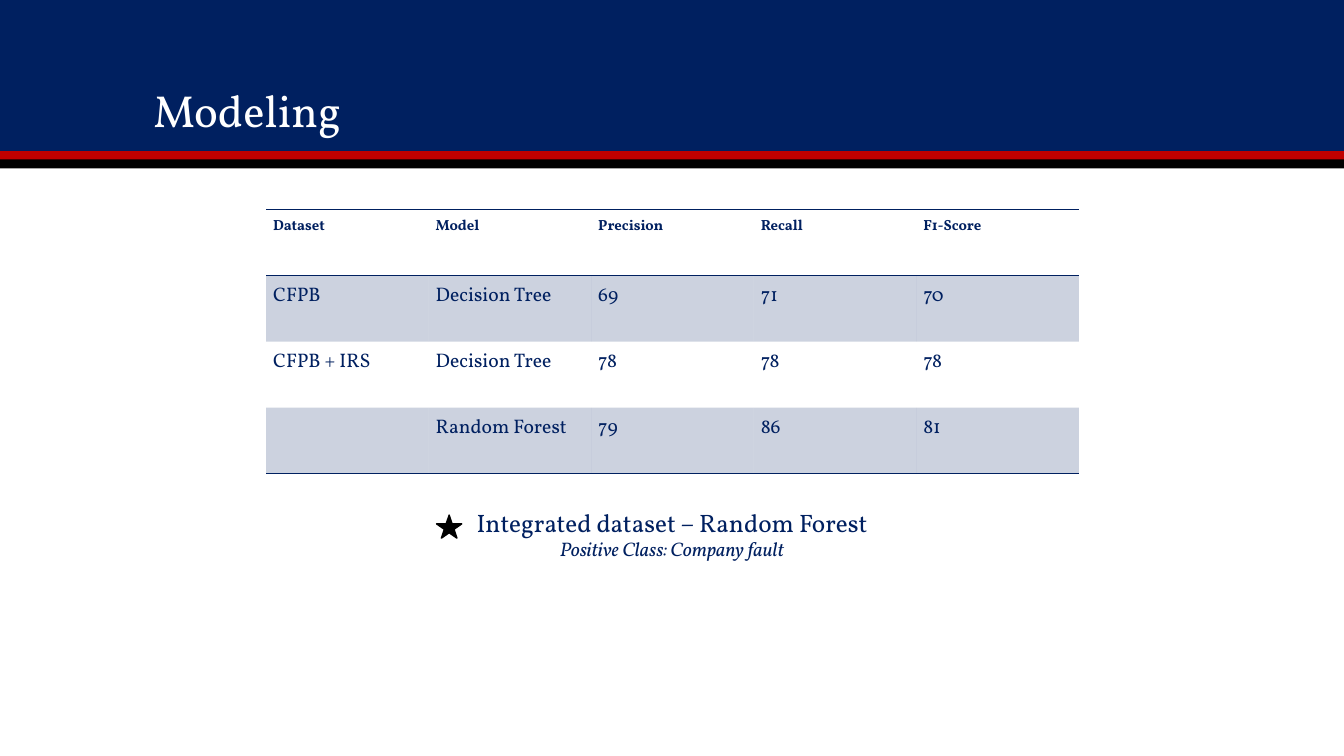
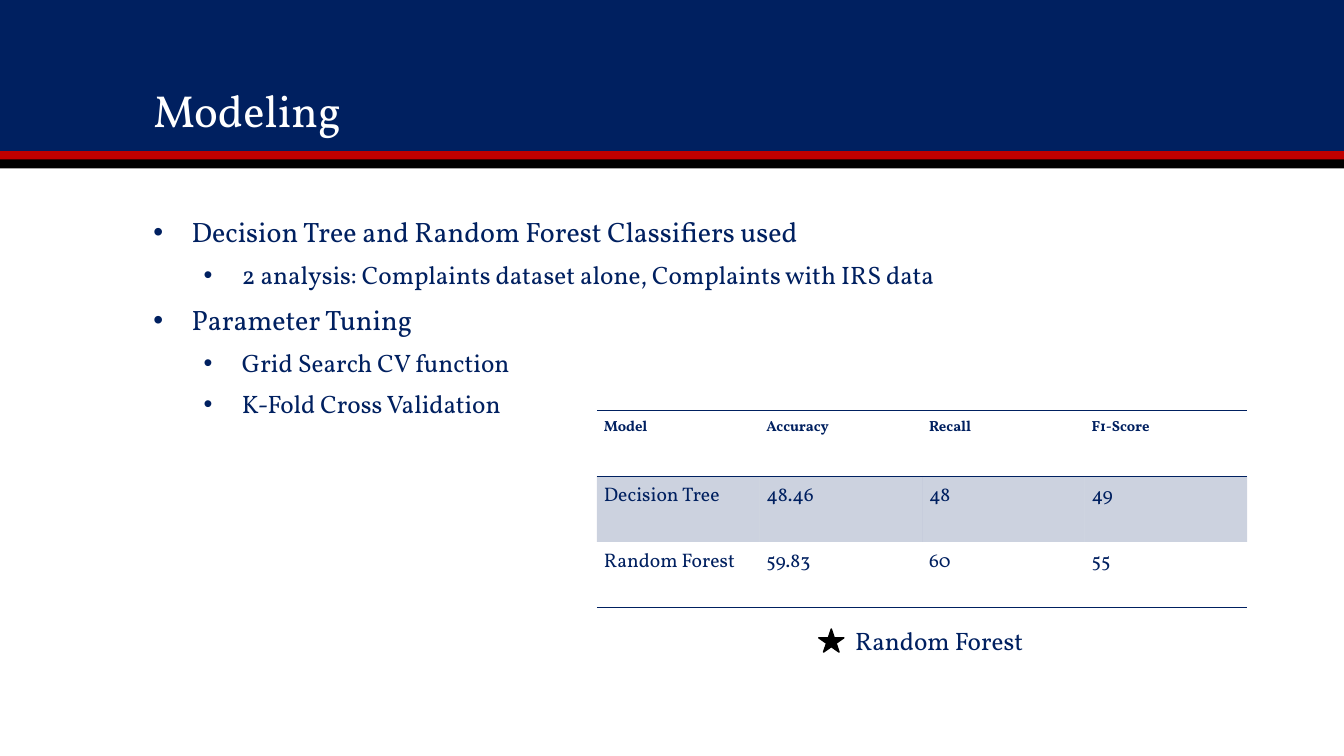
import dataclasses

import pptx
import pptx.dml.color
import pptx.enum.shapes
import pptx.enum.text
import pptx.oxml
import pptx.oxml.ns
import pptx.util

Inches = pptx.util.Inches
Pt = pptx.util.Pt
Anchor = pptx.enum.text.MSO_ANCHOR
Align = pptx.enum.text.PP_ALIGN
AutoSize = pptx.enum.text.MSO_AUTO_SIZE
Shape = pptx.enum.shapes.MSO_SHAPE
qn = pptx.oxml.ns.qn

NO_GRID_STYLE = "{2D5ABB26-0587-4C30-8999-92F81FD0307C}"


@dataclasses.dataclass(frozen=True)
class Theme:
    font: str = "Vollkorn"
    navy: str = "002060"
    red: str = "C00000"
    black: str = "000000"
    white: str = "FFFFFF"
    title: float = 32
    body: tuple = (20, 18)
    space_before: tuple = (12, 10)
    indent: tuple = (0.38, 0.88)
    hanging: float = 0.38
    line_spacing: float = 0.9
    header: float = 10.5
    cell: float = 14
    callout: float = 18
    note: float = 14
    cell_margin: float = 0.07
    band_alpha: int = 20


def rgb(color):
    return pptx.dml.color.RGBColor.from_string(color)


def xml(tag, content="", **attrs):
    attr_text = "".join(f' {key}="{value}"' for key, value in attrs.items())
    ns = pptx.oxml.ns.nsdecls("a")
    return pptx.oxml.parse_xml(f"<a:{tag} {ns}{attr_text}>{content}</a:{tag}>")


class Deck:
    def __init__(self, theme):
        self.theme = theme
        self.prs = pptx.Presentation()
        self.prs.slide_width = Inches(13.33)
        self.prs.slide_height = Inches(7.5)
        self.slide = None

    def add_slide(self, title, layout):
        self.slide = self.prs.slides.add_slide(self.prs.slide_layouts.get_by_name(layout))
        if len(self.prs.slides) == 1:
            self.master_bands()
        sp = self.slide.shapes.title
        self.place(sp, 1.42, 0.28, 10.5, 1.13)
        tf = sp.text_frame
        tf.text = title
        tf.vertical_anchor = Anchor.BOTTOM
        tf.auto_size = AutoSize.NONE
        p = tf.paragraphs[0]
        p.alignment = Align.LEFT
        p.line_spacing = self.theme.line_spacing
        self.style(p, self.theme.title, self.theme.white)

    def master_bands(self):
        t = self.theme
        tree = self.prs.slide_master.shapes.element
        bands = [(0, 1.5, t.navy), (1.5, 0.09, t.red), (1.58, 0.09, t.black)]
        for i, (top, height, color) in enumerate(bands):
            sp = self.shape(Shape.RECTANGLE, 0, top, 13.33, height, color)
            sp.element.nvSpPr.cNvPr.set("id", str(100 + i))
            tree.insert(2 + i, sp.element)

    def place(self, sp, left, top, width, height):
        sp.left, sp.top = Inches(left), Inches(top)
        sp.width, sp.height = Inches(width), Inches(height)

    def style(self, p, size, color=None, bold=False, italic=False):
        for r in p.runs:
            r.font.name = self.theme.font
            r.font.size = Pt(size)
            r.font.bold = bold
            r.font.italic = italic
            r.font.color.rgb = rgb(color or self.theme.navy)

    def shape(self, kind, left, top, width, height, color, outline=False):
        sp = self.slide.shapes.add_shape(
            kind, Inches(left), Inches(top), Inches(width), Inches(height))
        sp.shadow.inherit = False
        sp.fill.solid()
        sp.fill.fore_color.rgb = rgb(color)
        if outline:
            sp.line.color.rgb = rgb(color)
            sp.line.width = Pt(1)
        else:
            sp.line.fill.background()
        return sp

    def bullets(self, items, left, top, width, height, bottom_margin):
        t = self.theme
        sp = self.slide.placeholders[1]
        self.place(sp, left, top, width, height)
        tf = sp.text_frame
        tf.text = "\n".join(text for level, text in items)
        tf.vertical_anchor = Anchor.MIDDLE
        tf.auto_size = AutoSize.NONE
        tf.margin_bottom = Inches(bottom_margin)
        for p, (level, text) in zip(tf.paragraphs, items):
            p.level = level
            p.line_spacing = t.line_spacing
            p.space_before = Pt(t.space_before[level])
            pPr = p._p.get_or_add_pPr()
            pPr.set("marL", str(Inches(t.indent[level])))
            pPr.set("indent", str(-Inches(t.hanging)))
            pPr.append(xml("buFont", typeface="Arial"))
            pPr.append(xml("buChar", char="•"))
            self.style(p, t.body[level])

    def table(self, rows, left, top, width, height):
        t = self.theme
        gf = self.slide.shapes.add_table(
            len(rows), len(rows[0]), Inches(left), Inches(top), Inches(width), Inches(height))
        for style_id in gf.element.iter(qn("a:tableStyleId")):
            style_id.text = NO_GRID_STYLE
        for i, row in enumerate(rows):
            edges = ["lnT", "lnB"] if i == 0 else ["lnB"] if i == len(rows) - 1 else []
            for j, text in enumerate(row):
                cell = gf.table.cell(i, j)
                cell.text = text
                cell.margin_left = cell.margin_right = Inches(t.cell_margin)
                cell.margin_top = cell.margin_bottom = Inches(t.cell_margin)
                self.style(cell.text_frame.paragraphs[0],
                           t.cell if i else t.header, bold=i == 0)
                self.fill_cell(cell, i % 2 == 1)
                self.rule_cell(cell, edges)

    def fill_cell(self, cell, banded):
        if not banded:
            cell.fill.background()
            return
        cell.fill.solid()
        cell.fill.fore_color.rgb = rgb(self.theme.navy)
        for color in cell._tc.tcPr.iter(qn("a:srgbClr")):
            color.append(xml("alpha", val=self.theme.band_alpha * 1000))

    def rule_cell(self, cell, edges):
        fill = f'<a:solidFill><a:srgbClr val="{self.theme.navy}"/></a:solidFill>'
        for edge in reversed(edges):
            cell._tc.tcPr.insert(0, xml(edge, fill, w=Pt(1)))

    def callout(self, text, left, top, width, height, note=None):
        t = self.theme
        sp = self.slide.shapes.add_textbox(
            Inches(left), Inches(top), Inches(width), Inches(height))
        tf = sp.text_frame
        tf.word_wrap = False
        tf.auto_size = AutoSize.SHAPE_TO_FIT_TEXT
        tf.text = text
        self.style(tf.paragraphs[0], t.callout)
        if note:
            p = tf.add_paragraph()
            p.text = note
            self.style(p, t.note, italic=True)
        for p in tf.paragraphs:
            p.alignment = Align.CENTER

    def star(self, left, top):
        self.shape(Shape.STAR_5_POINT, left, top, 0.25, 0.23, self.theme.black, outline=True)


def main():
    deck = Deck(Theme())

    deck.add_slide("Modeling", "Title Only")
    deck.table([
        ["Dataset", "Model", "Precision", "Recall", "F1-Score"],
        ["CFPB", "Decision Tree", "69", "71", "70"],
        ["CFPB + IRS", "Decision Tree", "78", "78", "78"],
        ["", "Random Forest", "79", "86", "81"],
    ], 2.64, 2.08, 8.06, 2.62)
    deck.star(4.33, 5.11)
    deck.callout("Integrated dataset – Random Forest", 4.57, 4.98, 4.19, 0.64,
                 note="Positive Class: Company fault")

    deck.add_slide("Modeling", "Title and Content")
    deck.bullets([
        (0, "Decision Tree and Random Forest Classifiers used"),
        (1, "2 analysis: Complaints dataset alone, Complaints with IRS data"),
        (0, "Parameter Tuning"),
        (1, "Grid Search CV function"),
        (1, "K-Fold Cross Validation"),
    ], 1.42, 2, 10.5, 2.79, bottom_margin=0.52)
    deck.table([
        ["Model", "Accuracy", "Recall", "F1-Score"],
        ["Decision Tree", "48.46", "48", "49"],
        ["Random Forest", "59.83", "60", "55"],
    ], 5.92, 4.07, 6.45, 1.96)
    deck.star(8.12, 6.24)
    deck.callout("Random Forest", 8.36, 6.15, 1.91, 0.4)

    deck.prs.save("out.pptx")


if __name__ == "__main__":
    main()
